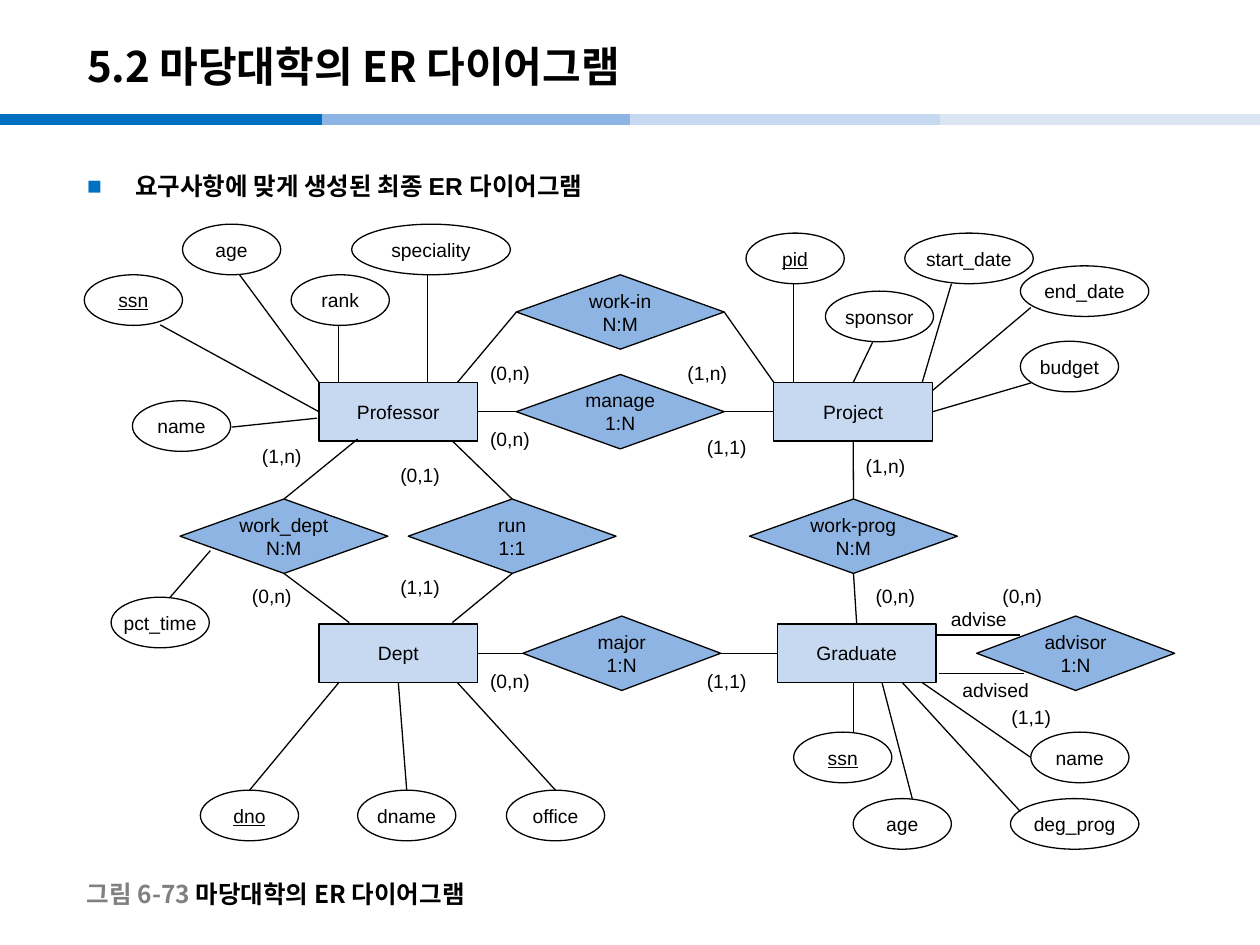
from lxml import etree
from pptx import Presentation
from pptx.dml.color import RGBColor
from pptx.enum.shapes import MSO_CONNECTOR, MSO_SHAPE
from pptx.enum.text import MSO_ANCHOR, PP_ALIGN
from pptx.oxml.ns import qn
from pptx.util import Cm, Pt

STRAIGHT = MSO_CONNECTOR.STRAIGHT
RECTANGLE, DIAMOND, ELLIPSE = MSO_SHAPE.RECTANGLE, MSO_SHAPE.DIAMOND, MSO_SHAPE.OVAL
MIDDLE = MSO_ANCHOR.MIDDLE
LEFT, CENTER = PP_ALIGN.LEFT, PP_ALIGN.CENTER
TOP_SIDE, LEFT_SIDE, BOTTOM_SIDE, RIGHT_SIDE = range(4)

LATIN_FONT, KOREAN_FONT = "Arial", "Noto Sans CJK KR"
COLORS = {
    "text": "000000", "muted": "808080", "attribute": "FFFFFF",
    "entity": "C6D9F1", "relation": "8EB4E3", "accent": "0070C0", "pale": "DCE6F2",
}

BARS = [(0, "accent"), (6.5, "relation"), (12.7, "entity"), (18.95, "pale")]

ENTITIES = [
    ("Professor", 6.43, 7.71), ("Project", 15.6, 7.71),
    ("Dept", 6.43, 12.58), ("Graduate", 15.67, 12.58),
]

RELATIONS = [
    ("work-in", "N:M", 10.41, 5.54, 4.19), ("manage", "1:N", 10.41, 7.55, 4.19),
    ("work_dept", "N:M", 3.63, 10.06, 4.19), ("run", "1:1", 8.23, 10.06, 4.19),
    ("work-prog", "N:M", 15.11, 10.06, 4.19),
    ("major", "1:N", 10.54, 12.42, 3.99), ("advisor", "1:N", 19.69, 12.42, 3.99),
]

KEYS = {"ssn", "pid", "dno"}
ATTRIBUTES = [
    ("age", 3.68, 4.52, 1.98), ("ssn", 1.7, 5.54, 1.98),
    ("rank", 5.87, 5.54, 1.98), ("speciality", 7.09, 4.52, 3.2),
    ("name", 2.67, 8.08, 1.98), ("pct_time", 2.24, 12.04, 1.98),
    ("pid", 15.04, 4.7, 1.98), ("sponsor", 16.64, 5.87, 2.18),
    ("start_date", 18.24, 4.7, 2.59), ("end_date", 20.57, 5.36, 2.59),
    ("budget", 20.57, 6.88, 1.98),
    ("dno", 4.04, 15.93, 1.98), ("dname", 7.21, 15.93, 1.98),
    ("office", 10.21, 15.93, 1.98),
    ("ssn", 16, 14.76, 1.98), ("age", 17.2, 16.1, 1.98),
    ("deg_prog", 20.37, 16.1, 2.59), ("name", 20.78, 14.76, 1.98),
]

LABELS = [
    ("(0,n)", 9.63, 7.16, 1.4), ("(0,n)", 9.63, 8.48, 1.6),
    ("(1,n)", 13.61, 7.16, 1.4), ("(1,1)", 14, 8.66, 1.4),
    ("(1,n)", 5.03, 8.84, 1.6), ("(0,n)", 4.83, 11.66, 1.8),
    ("(0,1)", 7.82, 9.22, 1.4), ("(1,1)", 7.82, 11.48, 1.4),
    ("(0,n)", 9.63, 13.36, 1.8), ("(1,1)", 14, 13.36, 1.4),
    ("(1,n)", 17.2, 9.04, 1.4), ("(0,n)", 17.4, 11.66, 1.4),
    ("advise", 18.92, 12.12, 1.98), ("advised", 19.15, 13.54, 1.98),
    ("(0,n)", 19.96, 11.66, 1.4), ("(1,1)", 20.14, 14.1, 1.4),
]

LINKS = [
    ((3.23, 6.55), ("Professor", LEFT_SIDE)),
    ((4.83, 5.54), (6.43, 7.71)),
    ((6.83, 6.55), (6.83, 7.71)),
    ((8.62, 5.54), (8.62, 7.71)),
    ((4.67, 8.61), (6.39, 8.43)),
    ((16, 5.72), (16, 7.71)),
    ((17.6, 6.88), ("Project", TOP_SIDE)),
    ((19.18, 5.72), (18.59, 7.71)),
    ((20.78, 6.2), (18.8, 7.87)),
    ((20.78, 7.72), ("Project", RIGHT_SIDE)),
    ((4.24, 11.1), (3.43, 12.04)),
    ((6.83, 13.76), (5.03, 15.93)),
    (("Dept", BOTTOM_SIDE), (8.2, 15.93)),
    ((9.22, 13.76), (11.2, 15.93)),
    (("work-in", RIGHT_SIDE), (15.6, 7.71)),
    (("work-in", LEFT_SIDE), (9.22, 7.71)),
    (("Professor", RIGHT_SIDE), ("manage", LEFT_SIDE)),
    (("manage", RIGHT_SIDE), ("Project", LEFT_SIDE)),
    (("work_dept", TOP_SIDE), (7.21, 8.85)),
    (("work_dept", BOTTOM_SIDE), (7.04, 12.55)),
    ((9.12, 8.89), ("run", TOP_SIDE)),
    (("run", BOTTOM_SIDE), (9.12, 12.55)),
    (("Project", BOTTOM_SIDE), ("work-prog", TOP_SIDE)),
    (("Graduate", TOP_SIDE), ("work-prog", BOTTOM_SIDE)),
    (("Dept", RIGHT_SIDE), ("major", LEFT_SIDE)),
    (("major", RIGHT_SIDE), ("Graduate", LEFT_SIDE)),
    ((18.87, 12.8), (20.57, 12.8)),
    ((18.92, 13.58), (20.65, 13.58)),
    ((17.2, 13.76), (17.2, 14.76)),
    ((17.78, 13.76), (18.39, 16.1)),
    ((18.19, 13.76), (20.57, 16.36)),
    ((18.59, 13.76), (20.78, 15.27)),
]


def rgb(name):
    return RGBColor.from_string(COLORS[name])


def place(shape, left, top, width, height):
    shape.left, shape.top, shape.width, shape.height = map(Cm, (left, top, width, height))


def format_run(run, size, latin=LATIN_FONT, color="text", bold=False, underline=False):
    font = run.font
    font.name, font.size, font.bold, font.underline = latin, Pt(size), bold, underline
    font.color.rgb = rgb(color)
    etree.SubElement(run._r.get_or_add_rPr(), qn("a:ea")).set("typeface", KOREAN_FONT)


def add_line(slide, start, end, color="text", weight=0.75):
    connector = slide.shapes.add_connector(STRAIGHT, *map(Cm, (*start, *end)))
    connector.line.color.rgb = rgb(color)
    connector.line.width = Pt(weight)
    etree.SubElement(connector._element.spPr, qn("a:effectLst"))
    return connector


def add_link(slide, nodes, start, end):
    glued_start, glued_end = isinstance(start[0], str), isinstance(end[0], str)
    connector = add_line(slide, (0, 0) if glued_start else start, (0, 0) if glued_end else end)
    if glued_start:
        connector.begin_connect(nodes[start[0]], start[1])
    if glued_end:
        connector.end_connect(nodes[end[0]], end[1])


def add_node(slide, kind, text, fill, left, top, width, height, underline=False):
    shape = slide.shapes.add_shape(kind, *map(Cm, (left, top, width, height)))
    shape.shadow.inherit = False
    shape.fill.solid()
    shape.fill.fore_color.rgb = rgb(fill)
    shape.line.color.rgb = rgb("text")
    shape.line.width = Pt(0.75)
    frame = shape.text_frame
    frame.text = text
    frame.word_wrap = False
    frame.vertical_anchor = MIDDLE
    for paragraph in frame.paragraphs:
        paragraph.alignment = CENTER
        format_run(paragraph.runs[0], 11, underline=underline)
    return shape


def add_label(slide, text, left, top, width):
    box = slide.shapes.add_textbox(*map(Cm, (left, top, width, 0.64)))
    box.text_frame.word_wrap = True
    box.text_frame.text = text
    format_run(box.text_frame.paragraphs[0].runs[0], 11)


def fill_title(slide):
    title = slide.shapes.title
    place(title, 1.5, 0.56, 21, 1.52)
    title.text_frame.text = "5.2 마당대학의 ER 다이어그램"
    title.text_frame.vertical_anchor = MIDDLE
    paragraph = title.text_frame.paragraphs[0]
    paragraph.alignment = LEFT
    format_run(paragraph.runs[0], 24, KOREAN_FONT, bold=True)


def fill_body(slide):
    body = slide.placeholders[1]
    place(body, 1.5, 3.02, 22.4, 15.19)
    body.text_frame.text = "요구사항에 맞게 생성된 최종 ER 다이어그램"
    paragraph = body.text_frame.paragraphs[0]
    paragraph.line_spacing = 1.5
    paragraph.space_before = Pt(0)
    properties = paragraph._p.get_or_add_pPr()
    properties.set("marL", str(Cm(0.97)))
    properties.set("indent", str(-Cm(0.97)))
    bullet_color = etree.SubElement(properties, qn("a:buClr"))
    etree.SubElement(bullet_color, qn("a:srgbClr")).set("val", COLORS["accent"])
    etree.SubElement(properties, qn("a:buFont")).set("typeface", LATIN_FONT)
    etree.SubElement(properties, qn("a:buChar")).set("char", "■")
    format_run(paragraph.runs[0], 14, bold=True)


def add_caption(slide):
    box = slide.shapes.add_textbox(*map(Cm, (1.5, 17.63, 9.5, 0.79)))
    box.text_frame.word_wrap = True
    box.text_frame.vertical_anchor = MIDDLE
    paragraph = box.text_frame.paragraphs[0]
    for text, color in (("그림 6-73 ", "muted"), ("마당대학의 ER 다이어그램", "text")):
        run = paragraph.add_run()
        run.text = text
        format_run(run, 14, KOREAN_FONT, color, bold=True)


def main():
    presentation = Presentation()
    presentation.slide_width, presentation.slide_height = Cm(25.4), Cm(19.05)
    slide = presentation.slides.add_slide(presentation.slide_layouts[1])
    for left, color in BARS:
        add_line(slide, (left, 2.41), (left + 6.5, 2.41), color, 6)
    fill_title(slide)
    fill_body(slide)
    nodes = {}
    for name, left, top in ENTITIES:
        nodes[name] = add_node(slide, RECTANGLE, name, "entity", left, top, 3.2, 1.18)
    for name, ratio, left, top, width in RELATIONS:
        text = f"{name}\n{ratio}"
        nodes[name] = add_node(slide, DIAMOND, text, "relation", left, top, width, 1.5)
    for name, left, top, width in ATTRIBUTES:
        add_node(slide, ELLIPSE, name, "attribute", left, top, width, 1.02, name in KEYS)
    for start, end in LINKS:
        add_link(slide, nodes, start, end)
    for label in LABELS:
        add_label(slide, *label)
    add_caption(slide)
    presentation.save("out.pptx")


if __name__ == "__main__":
    main()
